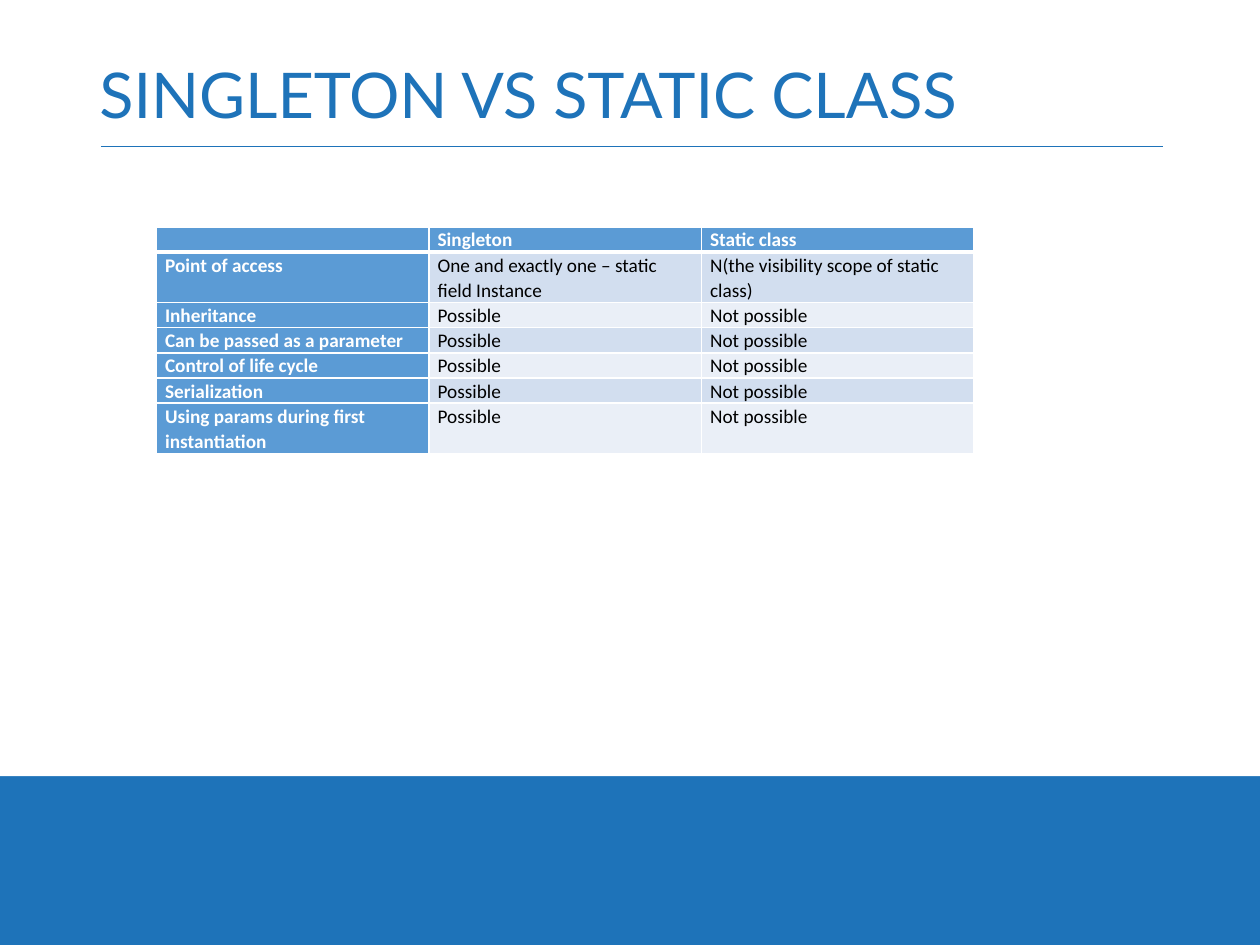
"""Build a slide comparing a singleton with a static class."""
from lxml.etree import SubElement
from pptx import Presentation
from pptx.dml.color import RGBColor
from pptx.enum.shapes import MSO_CONNECTOR, MSO_SHAPE
from pptx.enum.text import MSO_ANCHOR
from pptx.oxml.ns import qn
from pptx.util import Inches, Pt

BLUE = RGBColor(0x1E, 0x73, 0xB9)
HEADER = RGBColor(0x5B, 0x9B, 0xD5)
BAND_DARK = RGBColor(0xD2, 0xDE, 0xEF)
BAND_LIGHT = RGBColor(0xEA, 0xEF, 0xF7)
WHITE = RGBColor(0xFF, 0xFF, 0xFF)
BLACK = RGBColor(0, 0, 0)

ROWS = [
    ("", "Singleton", "Static class"),
    ("Point of access", "One and exactly one – static field Instance",
     "N(the visibility scope of static class)"),
    ("Inheritance", "Possible", "Not possible"),
    ("Can be passed as a parameter", "Possible", "Not possible"),
    ("Control of life cycle", "Possible", "Not possible"),
    ("Serialization", "Possible", "Not possible"),
    ("Using params during first instantiation", "Possible", "Not possible"),
]
TALL_ROWS = (1, 6)


def set_borders(cell, bottom_width):
    properties = cell._tc.get_or_add_tcPr()
    widths = {"a:lnL": 1, "a:lnR": 1, "a:lnT": 1, "a:lnB": bottom_width}
    for position, (tag, width) in enumerate(widths.items()):
        border = SubElement(properties, qn(tag), w=str(Pt(width)))
        properties.insert(position, border)
        fill = SubElement(border, qn("a:solidFill"))
        SubElement(fill, qn("a:srgbClr"), val=str(WHITE))


deck = Presentation()
deck.slide_width, deck.slide_height = Inches(10), Inches(7.5)
page = deck.slides.add_slide(deck.slide_layouts[6])
page.background.fill.solid()
page.background.fill.fore_color.rgb = BLUE

panel = page.shapes.add_shape(MSO_SHAPE.RECTANGLE, 0, 0, Inches(10), Inches(6.16))
panel.shadow.inherit = False
panel.fill.solid()
panel.fill.fore_color.rgb = WHITE
panel.line.fill.background()

rule = page.shapes.add_connector(
    MSO_CONNECTOR.STRAIGHT, Inches(0.8), Inches(1.16), Inches(9.23), Inches(1.16))
rule.line.color.rgb = BLUE
rule.line.width = Pt(0.5)
SubElement(rule._element.spPr, qn("a:effectLst"))

title = page.shapes.add_textbox(Inches(0.69), Inches(0.4), Inches(8.62), Inches(0.76))
title.text_frame.word_wrap = True
title.text_frame.vertical_anchor = MSO_ANCHOR.MIDDLE
para = title.text_frame.paragraphs[0]
para.text = "SINGLETON VS STATIC CLASS"
para.line_spacing = 0.9
font = para.runs[0].font
font.name, font.size = "Lato", Pt(36)
font.color.rgb = BLUE

table = page.shapes.add_table(
    len(ROWS), 3, Inches(1.24), Inches(1.8), Inches(6.49), Inches(1.8)).table
for row_index, texts in enumerate(ROWS):
    table.rows[row_index].height = Inches(0.4 if row_index in TALL_ROWS else 0.2)
    for column_index, text in enumerate(texts):
        cell = table.cell(row_index, column_index)
        is_heading = row_index == 0 or column_index == 0
        cell.margin_left = cell.margin_right = Inches(0.07)
        cell.margin_top = cell.margin_bottom = 0
        cell.fill.solid()
        band = BAND_DARK if row_index % 2 else BAND_LIGHT
        cell.fill.fore_color.rgb = HEADER if is_heading else band
        set_borders(cell, 3 if row_index == 0 else 1)
        para = cell.text_frame.paragraphs[0]
        para.text = text
        para.line_spacing = 1.07
        for span in para.runs:
            span.font.name, span.font.size = "Calibri", Pt(11)
            span.font.bold = is_heading
            span.font.color.rgb = WHITE if is_heading else BLACK
        if not text:
            SubElement(para._p, qn("a:endParaRPr"), sz="1100")

deck.save("out.pptx")
